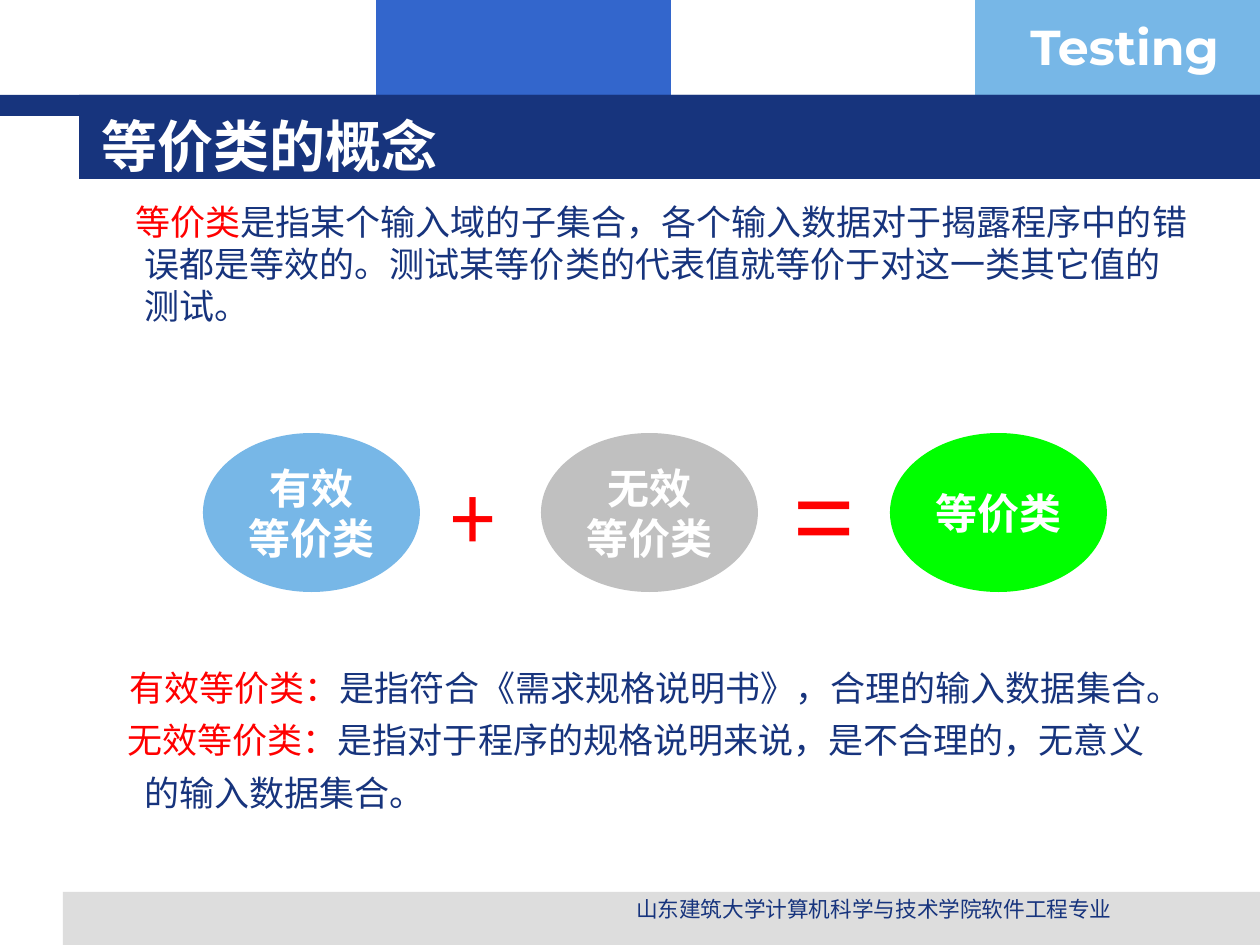
from typing import NamedTuple

from pptx import Presentation
from pptx.dml.color import RGBColor
from pptx.enum.shapes import MSO_SHAPE
from pptx.enum.text import MSO_ANCHOR, MSO_AUTO_SIZE, PP_ALIGN
from pptx.util import Emu, Pt

PX_PER_INCH = 126
COLORS = {
    "navy": "17347D", "blue": "3366CC", "sky": "77B7E7", "pale": "DDDDDD",
    "gray": "C0C0C0", "green": "00FF00", "red": "FF0000", "white": "FFFFFF",
}


class Area(NamedTuple):
    left: int
    top: int
    width: int
    height: int


class Bar(NamedTuple):
    area: Area
    color: str


class Oval(NamedTuple):
    left: int
    color: str
    lines: tuple[str, ...]


class Label(NamedTuple):
    area: Area
    text: str
    size: float
    color: str
    font: str = "Arial"
    bold: bool = False
    align: PP_ALIGN = PP_ALIGN.LEFT


class Definition(NamedTuple):
    term: str
    meaning: str
    first_indent: int


BARS = [
    Bar(Area(376, 0, 295, 116), "blue"),
    Bar(Area(975, 0, 285, 116), "sky"),
    Bar(Area(63, 892, 1197, 53), "pale"),
    Bar(Area(0, 95, 1260, 21), "navy"),
    Bar(Area(79, 95, 1181, 84), "navy"),
]
LABELS = [
    Label(Area(1018, 10, 242, 72), "Testing", 28, "white", "Montserrat", True),
    Label(Area(512, 890, 724, 39), "山东建筑大学计算机科学与技术学院软件工程专业",
          12.4, "navy", align=PP_ALIGN.CENTER),
    Label(Area(408, 433, 159, 139), "﹢", 60, "red"),
    Label(Area(781, 442, 121, 139), "=", 60, "red"),
]
OVALS = [
    Oval(203, "sky", ("有效", "等价类")),
    Oval(541, "gray", ("无效", "等价类")),
    Oval(890, "green", ("等价类",)),
]
CONCEPT = [
    Definition("等价类", "是指某个输入域的子集合，各个输入数据对于揭露程序中的错误都是等效的。"
               "测试某等价类的代表值就等价于对这一类其它值的测试。", -9),
]
KINDS = [
    Definition("有效等价类：", "是指符合《需求规格说明书》，合理的输入数据集合。", -15),
    Definition("无效等价类：", "是指对于程序的规格说明来说，是不合理的，无意义的输入数据集合。", -17),
]


def px(length: int) -> Emu:
    return Emu(round(length * 914400 / PX_PER_INCH))


def place(area: Area) -> list[Emu]:
    return [px(length) for length in area]


def rgb(name: str) -> RGBColor:
    return RGBColor.from_string(COLORS[name])


def style(font, size: float, color: str, name: str = "Arial", bold: bool = False) -> None:
    font.size, font.name, font.bold = Pt(size), name, bold
    font.color.rgb = rgb(color)


def draw_shape(page, kind: MSO_SHAPE, area: Area, color: str):
    shape = page.shapes.add_shape(kind, *place(area))
    shape.shadow.inherit = False
    shape.fill.solid()
    shape.fill.fore_color.rgb = rgb(color)
    shape.line.fill.background()
    return shape


def draw_oval(page, oval: Oval) -> None:
    shape = draw_shape(page, MSO_SHAPE.OVAL, Area(oval.left, 433, 217, 159), oval.color)
    frame = shape.text_frame
    frame.word_wrap = False
    frame.vertical_anchor = MSO_ANCHOR.MIDDLE
    frame.text = "\n".join(oval.lines)
    for para in frame.paragraphs:
        para.alignment = PP_ALIGN.CENTER
        style(para.font, 24, "white", bold=True)


def draw_label(page, label: Label) -> None:
    frame = page.shapes.add_textbox(*place(label.area)).text_frame
    frame.word_wrap = True
    frame.text = label.text
    para = frame.paragraphs[0]
    para.alignment = label.align
    style(para.font, label.size, label.color, label.font, label.bold)


def draw_definitions(page, area: Area, definitions: list[Definition],
                     line_spacing: float = 1.0, top_inset: int = 6) -> None:
    frame = page.shapes.add_textbox(*place(area)).text_frame
    frame.word_wrap = True
    frame.margin_top = px(top_inset)
    for index, definition in enumerate(definitions):
        para = frame.add_paragraph() if index else frame.paragraphs[0]
        para.line_spacing = line_spacing
        properties = para._p.get_or_add_pPr()
        properties.set("marL", str(px(48)))
        properties.set("indent", str(px(definition.first_indent)))
        for text, color in ((definition.term, "red"), (definition.meaning, "navy")):
            span = para.add_run()
            span.text = text
            style(span.font, 20, color)


def set_title(page, text: str) -> None:
    title = page.shapes.title
    title.left, title.top, title.width, title.height = place(Area(89, 116, 1027, 59))
    frame = title.text_frame
    frame.text = text
    frame.auto_size = MSO_AUTO_SIZE.NONE
    frame.vertical_anchor = MSO_ANCHOR.MIDDLE
    para = frame.paragraphs[0]
    para.alignment = PP_ALIGN.LEFT
    style(para.font, 32, "white", "Noto Sans CJK SC", True)
    # Bring the title in front of the header bars
    title.element.getparent().append(title.element)


def main() -> None:
    deck = Presentation()
    deck.slide_width, deck.slide_height = px(1260), px(945)
    page = deck.slides.add_slide(deck.slide_layouts[5])

    # Header and footer bars, then the title
    for bar in BARS:
        draw_shape(page, MSO_SHAPE.RECTANGLE, bar.area, bar.color)
    set_title(page, "等价类的概念")

    # Equation of ovals, with its signs and the header and footer labels
    for oval in OVALS:
        draw_oval(page, oval)
    for label in LABELS:
        draw_label(page, label)

    # Definitions above and below the equation
    draw_definitions(page, Area(84, 194, 1121, 208), CONCEPT)
    draw_definitions(page, Area(84, 631, 1091, 238), KINDS, 1.25, 25)

    deck.save("out.pptx")


if __name__ == "__main__":
    main()
